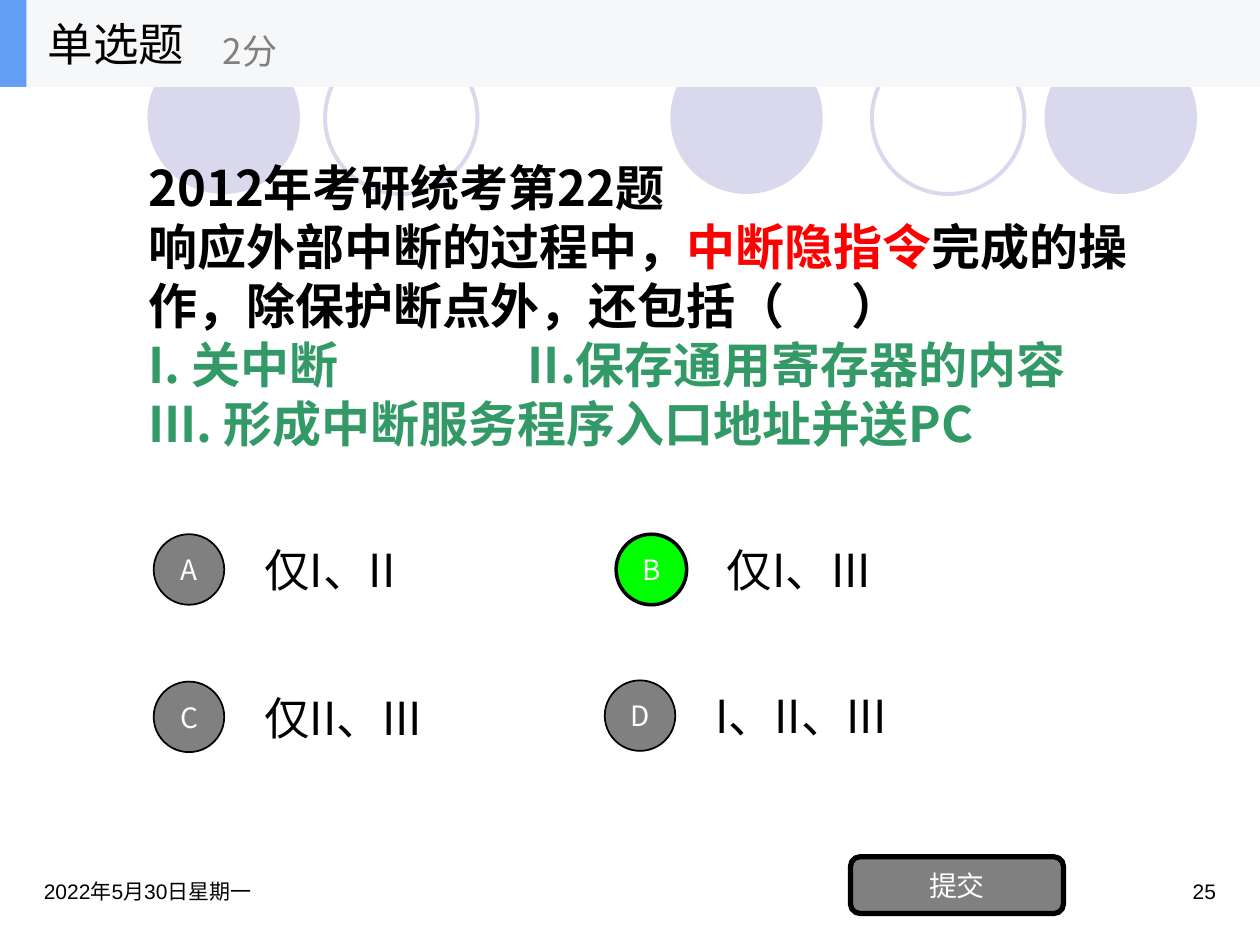
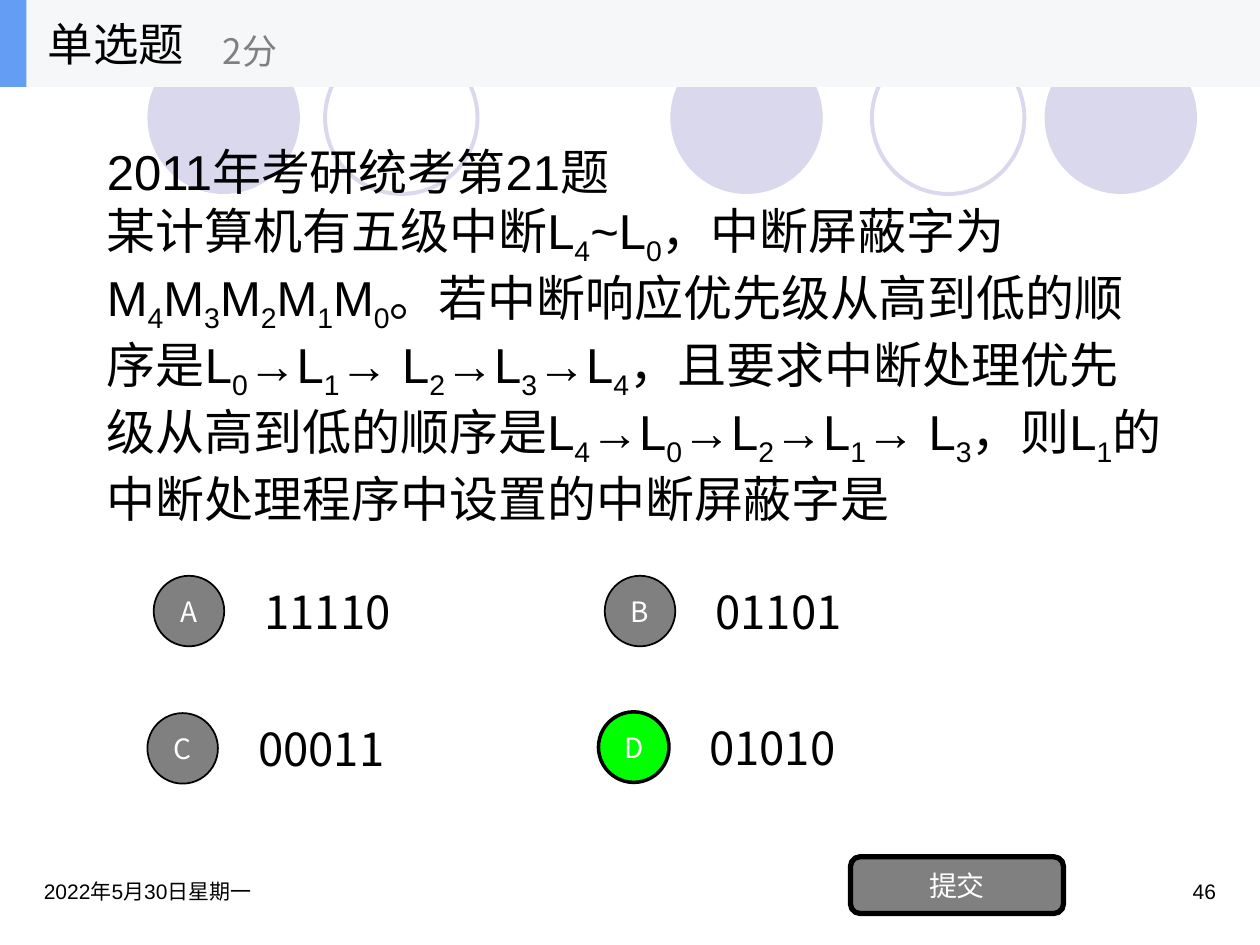
from lxml.etree import SubElement
from pptx import Presentation
from pptx.dml.color import RGBColor
from pptx.enum.shapes import MSO_SHAPE
from pptx.enum.text import MSO_ANCHOR, PP_ALIGN
from pptx.oxml.ns import qn
from pptx.util import Inches, Pt

SANS, LATIN = "Noto Sans CJK SC", "Arial"
BLACK, WHITE, GRAY, GREEN = "000000", "FFFFFF", "808080", "00FF00"
RED, TEAL, LAVENDER = "FF0000", "339966", "D9D8EC"
BAND, ACCENT = "F6F7F8", "639EF4"

FOOTER = {"name": LATIN, "size": 12}
OPTION = {"name": SANS, "size": 26}
BUTTON = {"name": SANS, "size": 16, "color": WHITE}
POINTS = {"name": SANS, "size": 20, "color": GRAY}
BOLD_STEM = {"name": SANS, "size": 28, "bold": True}
PLAIN_STEM = {"name": LATIN, "size": 28}


def color(code):
    return RGBColor.from_string(code)


def lengths(box):
    return [Inches(value) for value in box]


def format_span(span, style):
    """Apply a dict of font values to one run."""
    values = {"color": BLACK, **style}
    span.font.color.rgb = color(values.pop("color"))
    span.font.size = Pt(values.pop("size"))
    baseline = values.pop("baseline", None)
    for name, value in values.items():
        setattr(span.font, name, value)
    properties = span._r.get_or_add_rPr()
    if baseline:
        properties.set("baseline", str(baseline))
    SubElement(properties, qn("a:ea")).set("typeface", SANS)


def set_tab(para, position):
    stops = SubElement(para._p.get_or_add_pPr(), qn("a:tabLst"))
    SubElement(stops, qn("a:tab"), pos=str(Inches(position)), algn="l")


def write(shape, paragraphs, style, align=PP_ALIGN.LEFT, anchor=MSO_ANCHOR.MIDDLE):
    """Fill a shape with paragraphs, each a list of (text, changes, ...) spans."""
    frame = shape.text_frame
    frame.word_wrap = True
    frame.vertical_anchor = anchor
    for index, spans in enumerate(paragraphs):
        para = frame.add_paragraph() if index else frame.paragraphs[0]
        para.alignment = align
        for text, changes in spans:
            span = para.add_run()
            span.text = text
            format_span(span, {**style, **changes})
    return frame


def add_text(page, box, text, style, **layout):
    paragraphs = [[(text, {})]] if isinstance(text, str) else text
    return write(page.shapes.add_textbox(*lengths(box)), paragraphs, style, **layout)


def add_figure(page, kind, box, fill=None, line=None, weight=1):
    shape = page.shapes.add_shape(kind, *lengths(box))
    shape.shadow.inherit = False
    if fill:
        shape.fill.solid()
        shape.fill.fore_color.rgb = color(fill)
    else:
        shape.fill.background()
    if line:
        shape.line.color.rgb = color(line)
        shape.line.width = Pt(weight)
    else:
        shape.line.fill.background()
    return shape


def add_button(page, kind, box, label, fill, weight):
    shape = add_figure(page, kind, box, fill, BLACK, weight)
    for side in ("left", "right", "top", "bottom"):
        setattr(shape.text_frame, f"margin_{side}", 0)
    write(shape, [[(label, {})]], BUTTON, align=PP_ALIGN.CENTER)


def add_circles(page, top=0.33, size=1.21):
    for left in (1.17, 5.32, 8.29):
        add_figure(page, MSO_SHAPE.OVAL, (left, top, size, size), fill=LAVENDER)
    for left in (2.58, 6.92):
        add_figure(page, MSO_SHAPE.OVAL, (left, top, size, size),
                   line=LAVENDER, weight=2.25)


def add_header(page, box):
    left, top, width, height = box
    add_figure(page, MSO_SHAPE.RECTANGLE, box, BAND)
    add_figure(page, MSO_SHAPE.RECTANGLE, (left, top, 0.21, height), ACCENT)
    add_text(page, (left + 0.28, top, 2.08, height), "单选题", OPTION)
    add_text(page, (left + 1.67, top + 0.12, 2.5, 0.56), "2分", POINTS)


def add_footer(page, box, number):
    left, top, width, height = box
    part = 2.33
    add_text(page, (left, top, part, height), "2022年5月30日星期一", FOOTER,
             anchor=MSO_ANCHOR.TOP)
    add_text(page, (left + width - part, top, part, height), number, FOOTER,
             align=PP_ALIGN.RIGHT, anchor=MSO_ANCHOR.TOP)
    add_button(page, MSO_SHAPE.ROUNDED_RECTANGLE,
               (left + 6.5, top - 0.12, 1.69, 0.45), "提交", GRAY, 3)


def add_option(page, spot, letter, answer, correct):
    """Place a lettered circle at the spot, with its answer beside it."""
    left, top = spot
    add_text(page, (left + 0.78, top - 0.07, 2.8, 0.7), answer, OPTION)
    add_button(page, MSO_SHAPE.OVAL, (left, top, 0.56, 0.56), letter,
               GREEN if correct else GRAY, 2 if correct else 1)


def subscripts(text):
    """Split text into spans; the character after each "_" is lowered."""
    first, *rest = text.split("_")
    spans = [(first, {})]
    for piece in rest:
        spans.append((piece[0], {"baseline": -25000}))
        if piece[1:]:
            spans.append((piece[1:], {}))
    return spans


def add_question(deck, number, stem_box, stem, style, options, correct, tabs=None):
    page = deck.slides.add_slide(deck.slide_layouts[6])
    add_circles(page)
    add_footer(page, (0.25, 6.92, 9.5, 0.5), number)
    frame = add_text(page, stem_box, stem, style)
    for index, position in (tabs or {}).items():
        set_tab(frame.paragraphs[index], position)
    for letter, (spot, answer) in zip("ABCD", options):
        add_option(page, spot, letter, answer, letter == correct)
    add_header(page, (0, 0, 10, 0.69))


def main():
    deck = Presentation()
    deck.slide_width, deck.slide_height = Inches(10), Inches(7.5)

    # Interrupt response question
    add_question(
        deck, "25", (1.08, 1.25, 8.25, 2.34),
        [[("2012年考研统考第22题", {})],
         [("响应外部中断的过程中，", {}), ("中断隐指令", {"color": RED}),
          ("完成的操作，除保护断点外，还包括（\t）", {})],
         [("I. 关中断\tII.保存通用寄存器的内容", {"color": TEAL})],
         [("III. 形成中断服务程序入口地址并送PC", {"color": TEAL})]],
        BOLD_STEM,
        [((1.22, 4.24), "仅I、II"), ((4.89, 4.24), "仅I、III"),
         ((1.22, 5.41), "仅II、III"), ((4.8, 5.4), "I、II、III")],
        correct="B", tabs={1: 5.58, 2: 3.01})

    # Interrupt mask question
    add_question(
        deck, "46", (0.75, 1, 8.58, 3.31),
        [[("2011年考研统考第21题", {})],
         subscripts("某计算机有五级中断L_4~L_0，中断屏蔽字为M_4M_3M_2M_1M_0。"
                    "若中断响应优先级从高到低的顺序是L_0→L_1→ L_2→L_3→L_4，"
                    "且要求中断处理优先级从高到低的顺序是L_4→L_0→L_2→L_1→ L_3，"
                    "则L_1的中断处理程序中设置的中断屏蔽字是")],
        PLAIN_STEM,
        [((1.22, 4.57), "11110"), ((4.8, 4.57), "01101"),
         ((1.17, 5.66), "00011"), ((4.75, 5.65), "01010")],
        correct="D")

    deck.save("out.pptx")


if __name__ == "__main__":
    main()
